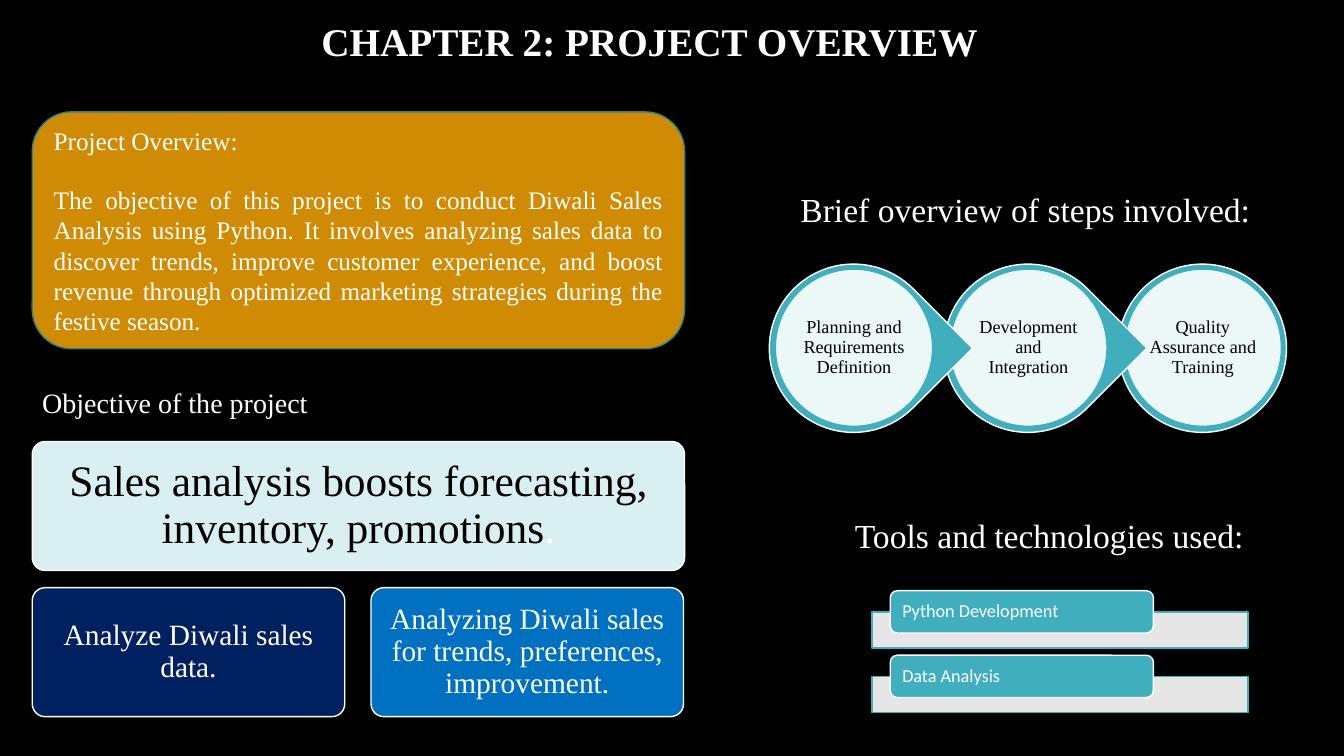
import pptx
import pptx.util
import pptx.dml.color
import pptx.enum.shapes
import pptx.enum.text
import pptx.oxml
import pptx.oxml.ns

Inches, Pt = pptx.util.Inches, pptx.util.Pt
RGB = pptx.dml.color.RGBColor.from_string
SHAPE = pptx.enum.shapes.MSO_SHAPE
ALIGN = pptx.enum.text.PP_ALIGN
ANCHOR = pptx.enum.text.MSO_ANCHOR

THEME = {
    "back": "000000", "white": "FFFFFF", "dark": "000000",
    "teal": "41AEBD", "pale": "D9EFF2", "navy": "002060", "blue": "0070C0",
    "gold": "CF8B03", "gold_line": "30818C",
    "serif": "Times New Roman", "sans": "Calibri",
    "title": 28, "heading": 24, "subheading": 20, "body": 18,
    "lead": 31, "card": 21, "label": 13,
}


def add_shape(shapes, kind, at, fill, line="white", opacity=None):
    sp = shapes.add_shape(kind, *map(Inches, at))
    sp.shadow.inherit = False
    sp.fill.solid()
    sp.fill.fore_color.rgb = RGB(THEME[fill])
    sp.line.color.rgb = RGB(THEME[line])
    sp.line.width = Pt(1)
    if opacity:
        color = sp.fill._xPr.find(".//" + pptx.oxml.ns.qn("a:srgbClr"))
        alpha = pptx.oxml.parse_xml(
            "<a:alpha %s val='%d'/>" % (pptx.oxml.ns.nsdecls("a"), opacity * 1000))
        color.append(alpha)
    return sp


def set_text(sp, paragraphs, size, color="white", font="serif", align=ALIGN.CENTER,
             anchor=ANCHOR.MIDDLE, inset=(0.1, 0.05), spacing=0.9, after=0):
    """Each paragraph is a list of (text, colour or None) runs."""
    tf = sp.text_frame
    frame = {"word_wrap": True, "vertical_anchor": anchor,
             "margin_left": Inches(inset[0]), "margin_right": Inches(inset[0]),
             "margin_top": Inches(inset[1]), "margin_bottom": Inches(inset[1])}
    for name, value in frame.items():
        setattr(tf, name, value)
    for i, runs in enumerate(paragraphs):
        p = tf.add_paragraph() if i else tf.paragraphs[0]
        last = i == len(paragraphs) - 1
        layout = {"alignment": align, "line_spacing": spacing,
                  "space_after": Pt(0 if last else after)}
        for name, value in layout.items():
            setattr(p, name, value)
        for text, own_color in runs:
            r = p.add_run()
            r.text = text
            style = {"name": THEME[font], "size": Pt(THEME[size]), "bold": size == "title"}
            for name, value in style.items():
                setattr(r.font, name, value)
            r.font.color.rgb = RGB(THEME[own_color or color])


prs = pptx.Presentation()
prs.slide_width, prs.slide_height = Inches(13.33), Inches(7.5)
s = prs.slides.add_slide(prs.slide_layouts[6])
s.background.fill.solid()
s.background.fill.fore_color.rgb = RGB(THEME["back"])

# Title and headings
for text, at, size in [
    ("CHAPTER 2: PROJECT OVERVIEW", (3.09, 0.12, 6.93, 0.57), "title"),
    ("Tools and technologies used:", (8.38, 5.06, 4.27, 0.5), "heading"),
    ("Objective of the project", (0.32, 3.78, 5.8, 0.44), "subheading"),
    ("Brief overview of steps involved:", (7.84, 1.83, 4.9, 0.5), "heading"),
]:
    sp = s.shapes.add_textbox(*map(Inches, at))
    set_text(sp, [[(text, None)]], size, align=ALIGN.LEFT, anchor=ANCHOR.TOP, spacing=1.0)

# Steps, laid from right to left so that each pointer covers the next circle
steps = ["Planning and Requirements Definition", "Development and Integration",
         "Quality Assurance and Training"]
chain = s.shapes.add_group_shape().shapes
for i, step in reversed(list(enumerate(steps))):
    left = 7.63 + 1.73 * i
    last = i == len(steps) - 1
    sp = add_shape(chain, SHAPE.OVAL if last else SHAPE.TEAR,
                   (left, 2.62, 1.67, 1.67), "teal")
    sp.rotation = 0 if last else 45
    sp = add_shape(chain, SHAPE.OVAL, (left + 0.06, 2.67, 1.56, 1.56), "white", "teal", 90)
    set_text(sp, [[(step, None)]], "label", "dark", inset=(0.02, 0.02))

# Tools
tools = s.shapes.add_group_shape().shapes
for i, tool in enumerate(["Python Development", "Data Analysis"]):
    top = 5.86 + 0.64 * i
    add_shape(tools, SHAPE.RECTANGLE, (8.65, top + 0.21, 3.73, 0.36), "white", "teal", 90)
    sp = add_shape(tools, SHAPE.ROUNDED_RECTANGLE, (8.83, top, 2.61, 0.42), "teal")
    set_text(sp, [[(tool, None)]], "label", font="sans", align=ALIGN.LEFT, inset=(0.1, 0))

# Objective cards
cards = s.shapes.add_group_shape().shapes
for runs, at, fill, size, color, inset in [
    ([("Sales analysis boosts forecasting, inventory, promotions", None), (".", "white")],
     (0.32, 4.38, 6.47, 1.28), "pale", "lead", "dark", 0.13),
    ([("Analyze Diwali sales data.", None)],
     (0.32, 5.83, 3.1, 1.28), "navy", "card", "white", 0.09),
    ([("Analyzing Diwali sales for trends, preferences, improvement.", None)],
     (3.68, 5.83, 3.1, 1.28), "blue", "card", "white", 0.09),
]:
    sp = add_shape(cards, SHAPE.ROUNDED_RECTANGLE, at, fill)
    sp.adjustments[0] = 0.1
    set_text(sp, [runs], size, color, inset=(inset, inset))

# Project overview panel
overview = [
    "Project Overview:",
    "The objective of this project is to conduct Diwali Sales Analysis using Python. "
    "It involves analyzing sales data to discover trends, improve customer experience, "
    "and boost revenue through optimized marketing strategies during the festive season.",
]
sp = add_shape(s.shapes, SHAPE.ROUNDED_RECTANGLE, (0.32, 1.11, 6.47, 2.35), "gold", "gold_line")
set_text(sp, [[(text, None)] for text in overview], "body", align=ALIGN.JUSTIFY,
         spacing=1.0, after=21)

prs.save("out.pptx")
